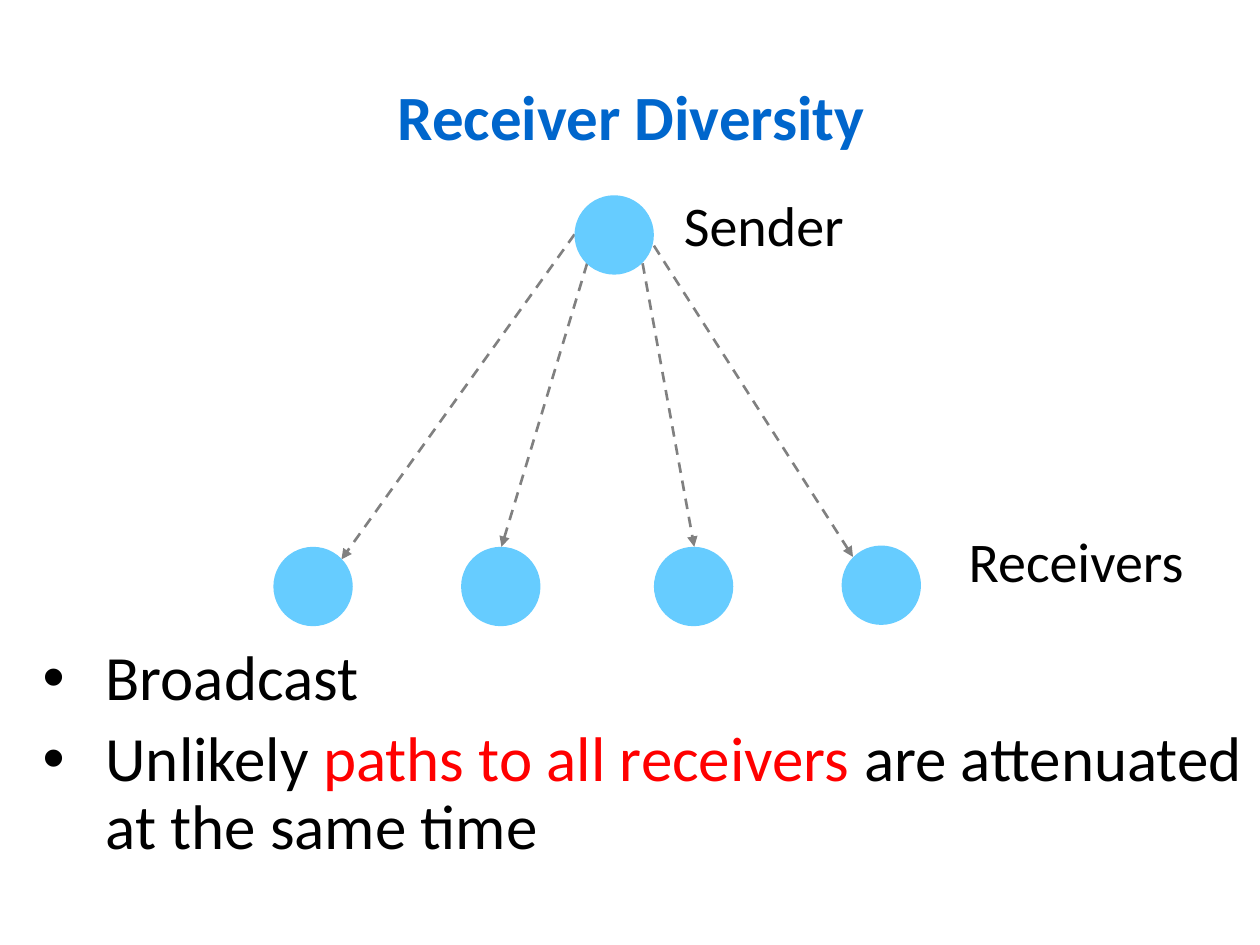
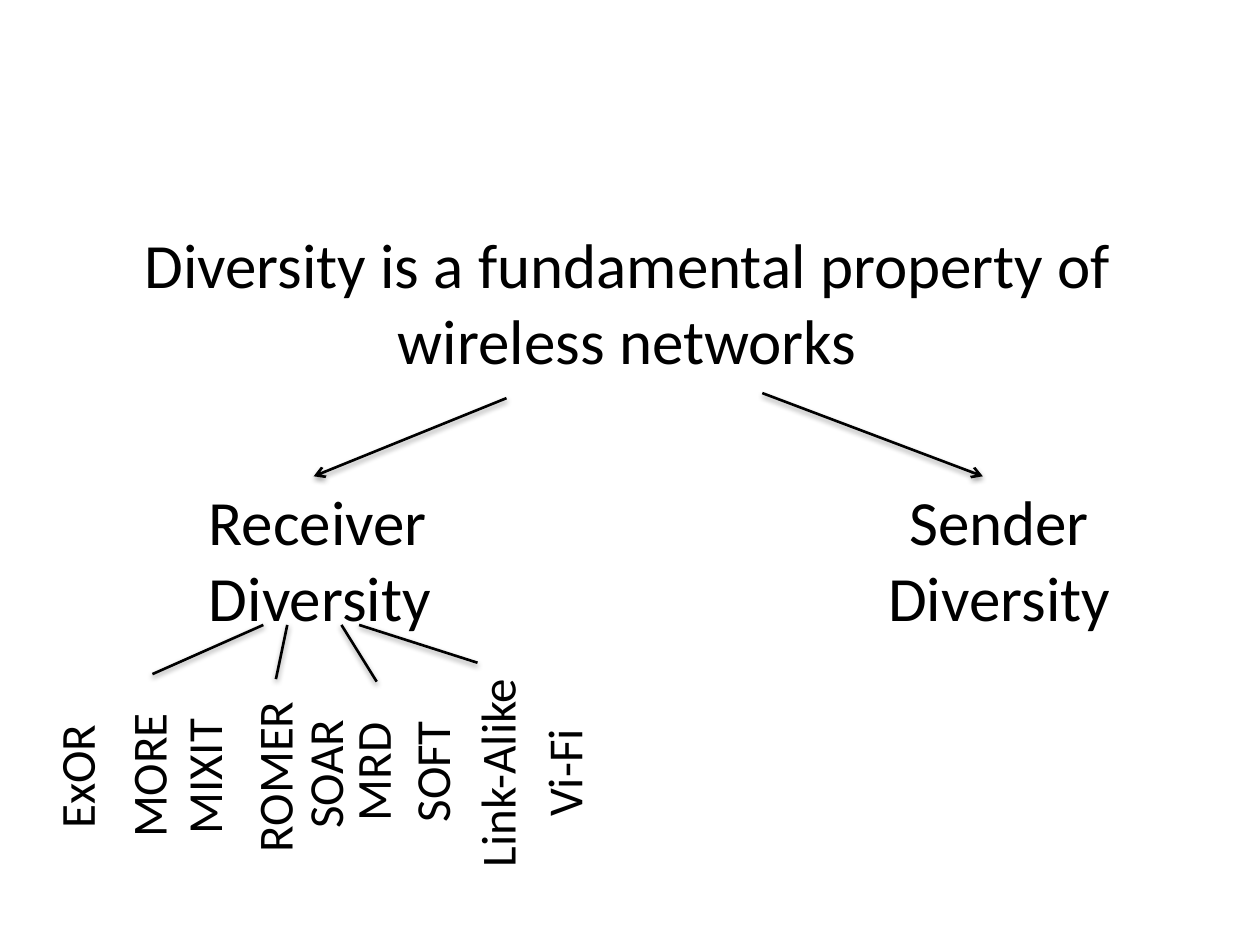
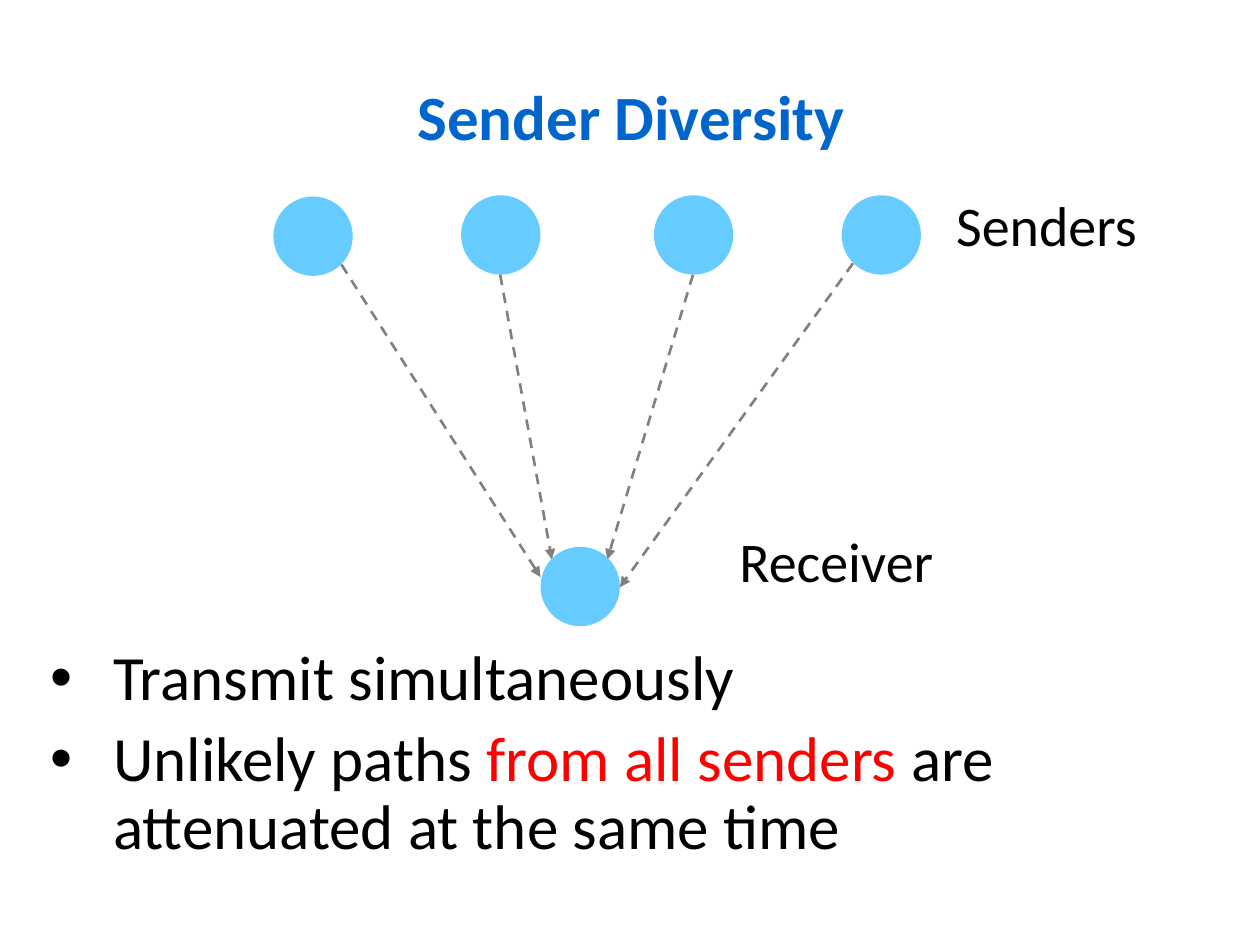
import pptx
import pptx.util
import pptx.dml.color
import pptx.enum.dml
import pptx.enum.shapes
import pptx.enum.text
from lxml import etree
from pptx.oxml import parse_xml
from pptx.oxml.ns import nsdecls, qn

Inches, Pt = pptx.util.Inches, pptx.util.Pt
rgb = pptx.dml.color.RGBColor.from_string
LEFT, CENTER = pptx.enum.text.PP_ALIGN.LEFT, pptx.enum.text.PP_ALIGN.CENTER

FONT = "Calibri"
TITLE_BLUE, NODE_BLUE, PATH_GRAY = "0066CC", "66CCFF", "808080"
BLACK, WHITE, RED = "000000", "FFFFFF", "FF0000"
NODE_SIZE = 0.63
SHADOW = (
    f'<a:effectLst {nsdecls("a")}><a:outerShdw blurRad="40000" dist="20000" dir="5400000" '
    'rotWithShape="0"><a:srgbClr val="000000"><a:alpha val="38000"/></a:srgbClr>'
    "</a:outerShdw></a:effectLst>"
)
NO_SHADOW = f'<a:effectLst {nsdecls("a")}/>'


def add_text(slide, box, paragraphs, size, color=BLACK, align=LEFT, wrap=True, fill=None):
    """Add a text box; each paragraph is a list of run texts, the second run in red."""
    text_box = slide.shapes.add_textbox(*map(Inches, box))
    if fill:
        text_box.fill.solid()
        text_box.fill.fore_color.rgb = rgb(fill)
    frame = text_box.text_frame
    frame.word_wrap = wrap
    for number, run_texts in enumerate(paragraphs):
        paragraph = frame.add_paragraph() if number else frame.paragraphs[0]
        paragraph.alignment = align
        for position, text in enumerate(run_texts):
            run = paragraph.add_run()
            run.text = text
            run.font.name = FONT
            run.font.size = Pt(size)
            run.font.color.rgb = rgb(RED if position == 1 else color)
    return text_box


def add_line(slide, start, end, color, head=None, dashed=False, effects=NO_SHADOW):
    line = slide.shapes.add_connector(
        pptx.enum.shapes.MSO_CONNECTOR.STRAIGHT, *map(Inches, start + end))
    line.line.color.rgb = rgb(color)
    line.line.width = Pt(1.5)
    if dashed:
        line.line.dash_style = pptx.enum.dml.MSO_LINE.DASH
    if head:
        etree.SubElement(line.line._get_or_add_ln(), qn("a:tailEnd"), type=head)
    line._element.spPr.append(parse_xml(effects))


presentation = pptx.Presentation()
presentation.slide_width = Inches(10)
presentation.slide_height = Inches(7.5)
blank = presentation.slide_layouts[6]
receiver_slide, overview_slide, sender_slide = [
    presentation.slides.add_slide(blank) for _ in range(3)]

# Receiver and sender diversity: one hub linked with a row of four nodes
diversity_slides = [
    (receiver_slide, "Receiver Diversity",
     [(4.56, 1.55), (2.17, 4.34), (3.66, 4.34), (5.19, 4.34), (6.68, 4.33)],
     [((4.56, 1.86), (2.71, 4.44)), ((4.66, 2.09), (3.98, 4.34)),
      ((5.1, 2.09), (5.51, 4.34)), ((5.19, 1.95), (6.77, 4.42))],
     [("Sender", 5.33, 1.46), ("Receivers", 7.59, 4.13)],
     0.76,
     [["Broadcast"],
      ["Unlikely ", "paths to all receivers ", "are attenuated at the same time"]]),
    (sender_slide, "Sender Diversity",
     [(4.29, 4.34), (6.68, 1.55), (5.19, 1.55), (3.66, 1.55), (2.17, 1.56)],
     [((6.77, 2.09), (4.92, 4.66)), ((5.5, 2.18), (4.82, 4.44)),
      ((3.97, 2.18), (4.38, 4.44)), ((2.71, 2.1), (4.29, 4.58))],
     [("Senders", 7.49, 1.46), ("Receiver", 5.77, 4.13)],
     0.82,
     [["Transmit simultaneously"],
      ["Unlikely paths ", "from all senders ", "are attenuated at the same time"]]),
]
for slide, title, nodes, paths, labels, indent, points in diversity_slides:
    heading = add_text(slide, (0.51, 0.29, 9, 1.25), [[title]], 36, TITLE_BLUE, CENTER)
    heading.text_frame.vertical_anchor = pptx.enum.text.MSO_ANCHOR.MIDDLE
    heading.text_frame.paragraphs[0].runs[0].font.bold = True

    # The first two paths run behind the nodes, the others in front
    for start, end in paths[:2]:
        add_line(slide, start, end, PATH_GRAY, "triangle", dashed=True)
    for left, top in nodes:
        node = slide.shapes.add_shape(
            pptx.enum.shapes.MSO_SHAPE.OVAL,
            *map(Inches, (left, top, NODE_SIZE, NODE_SIZE)))
        node.shadow.inherit = False
        node.fill.solid()
        node.fill.fore_color.rgb = rgb(NODE_BLUE)
        node.line.fill.background()
    for start, end in paths[2:]:
        add_line(slide, start, end, PATH_GRAY, "triangle", dashed=True)

    for label, left, top in labels:
        add_text(slide, (left, top, 2.37, 0.64), [[label]], 32, fill=WHITE)

    summary = add_text(slide, (-0.02, 5.08, 10, 0.67), points, 36)
    for paragraph in summary.text_frame.paragraphs:
        paragraph.line_spacing = 0.9
        paragraph.space_before = Pt(7.2)
        properties = paragraph._p.get_or_add_pPr()
        properties.set("marL", str(Inches(indent)))
        properties.set("indent", str(Inches(-0.5)))
        etree.SubElement(properties, qn("a:buFont"), typeface="Arial")
        etree.SubElement(properties, qn("a:buChar"), char="•")

# Overview: the two kinds of diversity and the known receiver schemes
statement = add_text(
    overview_slide, (0.48, 1.74, 9, 1.23),
    [["Diversity is a fundamental property of wireless networks"]], 36, align=CENTER)
statement.text_frame.paragraphs[0].space_before = Pt(7.2)
add_text(overview_slide, (1.56, 3.78, 2.06, 1.31), [["Receiver"], ["Diversity"]], 36, fill=WHITE)
add_text(overview_slide, (6.94, 3.78, 1.98, 1.31), [["Sender"], ["Diversity"]], 36,
         align=CENTER, wrap=False)
for start, end in [((4.02, 3.16), (2.49, 3.78)), ((6.05, 3.12), (7.8, 3.78))]:
    add_line(overview_slide, start, end, BLACK, "arrow", effects=SHADOW)

schemes = [("ExOR", 0.6, 5.88, 1.04), ("MORE", 1.17, 5.87, 1.2), ("MIXIT", 1.61, 5.88, 1.13),
           ("ROMER", 2.17, 5.88, 1.41), ("SOAR", 2.57, 5.86, 1.08), ("MRD", 2.95, 5.84, 0.99),
           ("SOFT", 3.42, 5.84, 1.01), ("Link-Alike", 3.94, 5.85, 1.73),
           ("Vi-Fi", 4.47, 5.85, 0.9)]
for scheme, center, top, width in schemes:
    scheme_label = add_text(overview_slide, (center - width / 2, top, width, 0.57),
                            [[scheme]], 28, align=CENTER, wrap=False)
    scheme_label.rotation = 270

for start_x, end in [(2.09, (1.21, 5.35)), (2.28, (2.19, 5.39)),
                     (2.71, (2.99, 5.41)), (2.85, (3.79, 5.26))]:
    add_line(overview_slide, (start_x, 4.96), end, BLACK, effects=SHADOW)

presentation.save("out.pptx")
